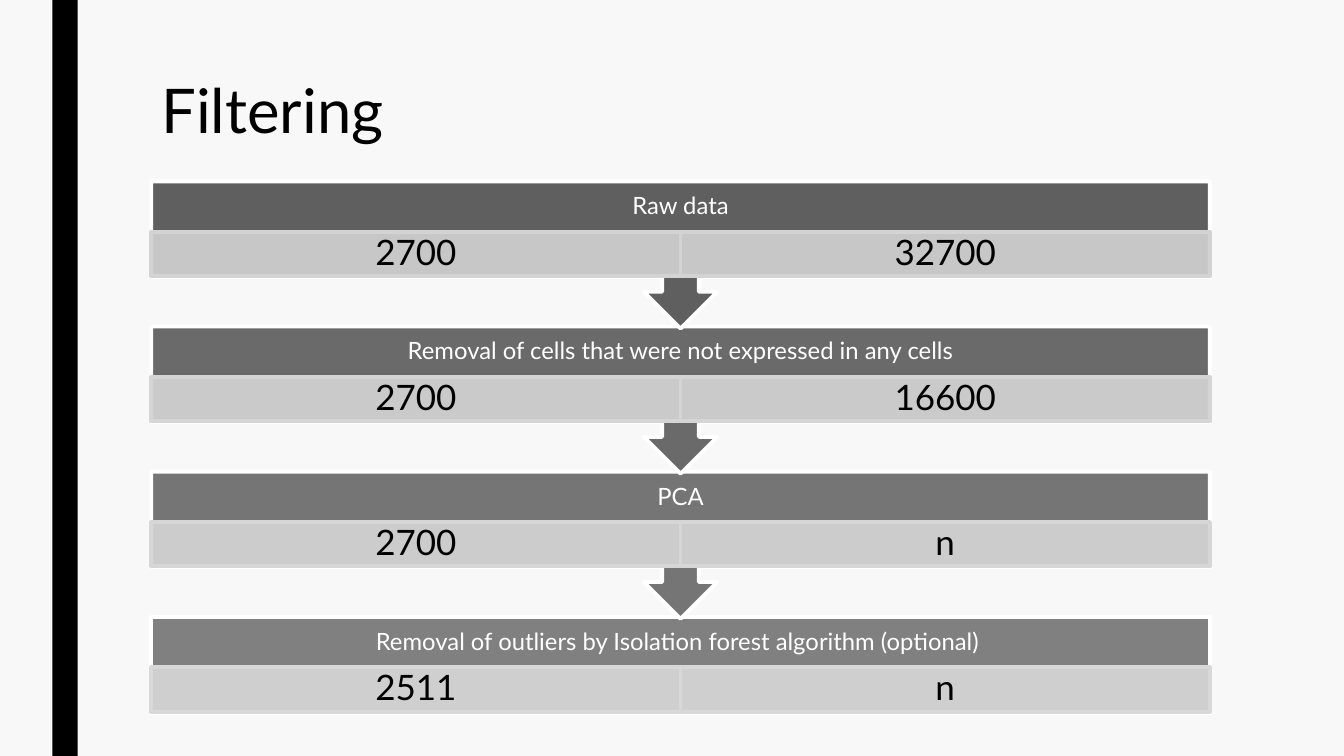
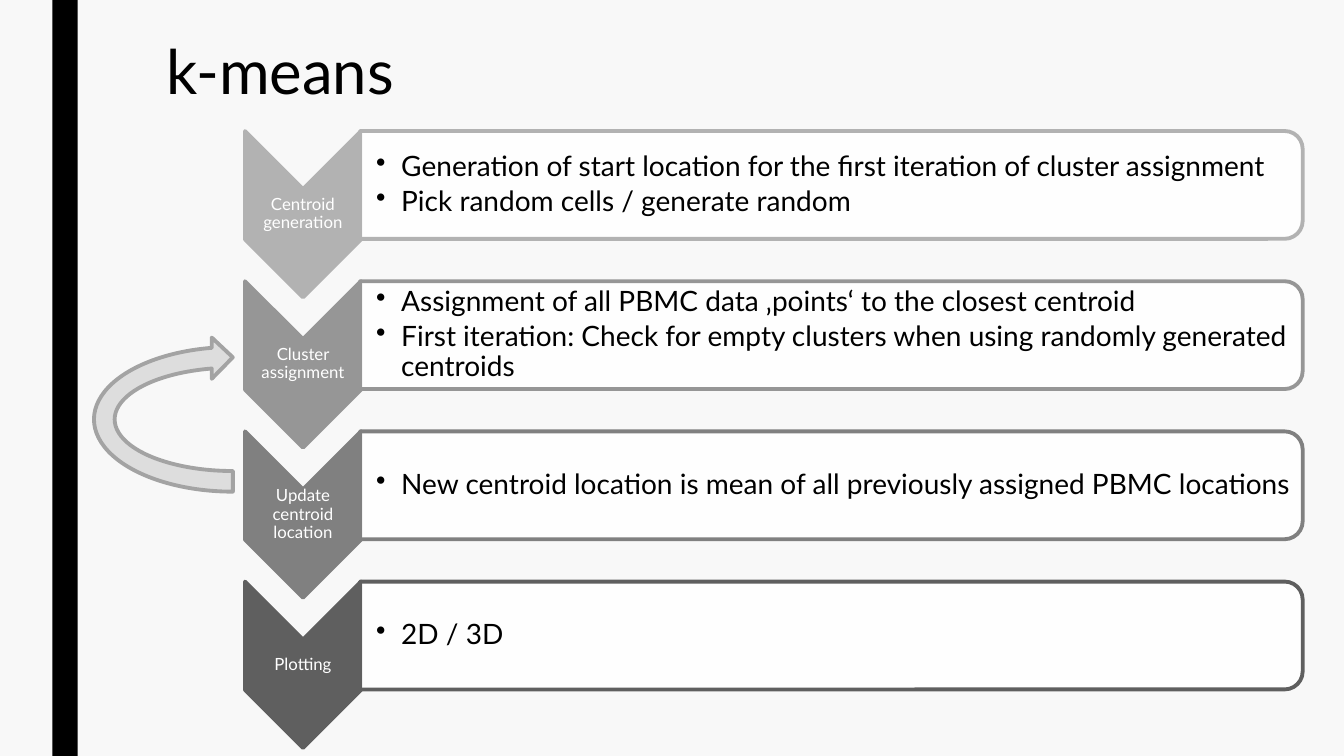
"""Builds two slides on cell data: the filtering steps and the k-means loop."""
import pptx
import pptx.util
import pptx.dml.color
import pptx.enum.shapes
import pptx.enum.text
import pptx.oxml
import pptx.oxml.ns

PX = 9144
FONT = "Lato"
SHAPE = pptx.enum.shapes.MSO_SHAPE
ALIGN = pptx.enum.text.PP_ALIGN
ANCHOR = pptx.enum.text.MSO_ANCHOR
RGB = pptx.dml.color.RGBColor

BLACK = RGB(0x00, 0x00, 0x00)
WHITE = RGB(0xFF, 0xFF, 0xFF)
PAPER = RGB(0xF8, 0xF8, 0xF8)
CHARCOAL = RGB(0x5F, 0x5F, 0x5F)
DARK = RGB(0x6A, 0x6A, 0x6A)
SLATE = RGB(0x75, 0x75, 0x75)
GRAY = RGB(0x80, 0x80, 0x80)
MIDDLE = RGB(0x96, 0x96, 0x96)
LIGHT = RGB(0xB2, 0xB2, 0xB2)
CELL_RAW = RGB(0xD3, 0xD3, 0xD3)
CELL_EXPRESSED = RGB(0xD5, 0xD5, 0xD5)
CELL_PCA = RGB(0xD6, 0xD6, 0xD6)
CELL_OUTLIERS = RGB(0xD8, 0xD8, 0xD8)
LOOP_FILL = RGB(0xDD, 0xDD, 0xDD)
LOOP_LINE = RGB(0xA3, 0xA3, 0xA3)


def add_box(page, kind, place, fill, line=None, alpha=100):
    box = page.shapes.add_shape(kind, *[length * PX for length in place])
    box.shadow.inherit = False
    box.fill.solid()
    box.fill.fore_color.rgb = fill
    if alpha < 100:
        for colour in box.element.spPr.iter(pptx.oxml.ns.qn("a:srgbClr")):
            colour.append(pptx.oxml.parse_xml(
                f'<a:alpha {pptx.oxml.ns.nsdecls("a")} val="{alpha * 1000}"/>'))
    if line is None:
        box.line.fill.background()
    else:
        box.line.color.rgb = line
        box.line.width = pptx.util.Pt(2.75)
    return box


def write(box, text, size, colour, align=ALIGN.CENTER, anchor=ANCHOR.MIDDLE,
          margins=(1, 1, 1, 1)):
    frame = box.text_frame
    frame.text = text
    frame.word_wrap = True
    frame.auto_size = pptx.enum.text.MSO_AUTO_SIZE.NONE
    frame.vertical_anchor = anchor
    (frame.margin_left, frame.margin_top,
     frame.margin_right, frame.margin_bottom) = [edge * PX for edge in margins]
    for para in frame.paragraphs:
        para.alignment = align
        para.line_spacing = 0.9
        for span in para.runs:
            span.font.name = FONT
            span.font.size = pptx.util.Pt(size)
            span.font.color.rgb = colour


deck = pptx.Presentation()
deck.slide_width = 1333 * PX
deck.slide_height = 750 * PX
master = deck.slide_master
master.background.fill.solid()
master.background.fill.fore_color.rgb = PAPER

pages = []
for heading, left, top in [("Filtering", 150, 75), ("k-means", 155, 36)]:
    page = deck.slides.add_slide(deck.slide_layouts[5])
    title = page.shapes.title
    title.left, title.top, title.width, title.height = [
        length * PX for length in (left, top, 1050, 162)]
    write(title, heading, 44, BLACK, ALIGN.LEFT, ANCHOR.TOP, (10, 5, 10, 5))
    pages.append(page)
filtering, kmeans = pages

band = add_box(filtering, SHAPE.RECTANGLE, (52, 0, 25, 750), BLACK)
band.element.nvSpPr.cNvPr.set("id", "20")
master.shapes.element.insert(2, band.element)

STEPS = [
    ("Raw data", CHARCOAL, CELL_RAW, ("2700", "32700")),
    ("Removal of cells that were not expressed in any cells", DARK,
     CELL_EXPRESSED, ("2700", "16600")),
    ("PCA", SLATE, CELL_PCA, ("2700", "n")),
    ("Removal of outliers by Isolation forest algorithm (optional) ", GRAY,
     CELL_OUTLIERS, ("2511", "n")),
]
for row, (label, fill, cell_fill, counts) in reversed(list(enumerate(STEPS))):
    top = 180 + row * 144
    last = row == len(STEPS) - 1
    kind = SHAPE.RECTANGLE if last else SHAPE.DOWN_ARROW_CALLOUT
    step = add_box(filtering, kind, (150, top, 1050, 95 if last else 146), fill, WHITE)
    write(step, label, 17, WHITE, margins=(13, 0, 13, 44))
    for column, count in enumerate(counts):
        cell = add_box(filtering, SHAPE.RECTANGLE,
                       (150 + column * 525, top + 50, 525, 44),
                       cell_fill, cell_fill, 90)
        write(cell, count, 25, BLACK, margins=(19, 3, 19, 3))

STAGES = [
    ("Centroid generation", LIGHT,
     "Generation of start location for the first iteration of cluster assignment\n"
     "Pick random cells / generate random"),
    ("Cluster assignment", MIDDLE,
     "Assignment of all PBMC data ‚points‘ to the closest centroid\n"
     "First iteration: Check for empty clusters when using randomly generated centroids"),
    ("Update centroid location", GRAY,
     "New centroid location is mean of all previously assigned PBMC locations"),
    ("Plotting", CHARCOAL, "2D / 3D"),
]
for row, (label, colour, points) in enumerate(STAGES):
    top = 130 + row * 149
    chevron = add_box(kmeans, SHAPE.CHEVRON, (218, top + 25, 165, 115), colour, colour)
    chevron.rotation = 90
    caption = kmeans.shapes.add_textbox(243 * PX, (top + 58) * PX, 115 * PX, 49 * PX)
    write(caption, label, 12, WHITE)
    panel = add_box(kmeans, SHAPE.ROUND_2_SAME_RECTANGLE,
                    (771, top - 414, 107, 935), WHITE, colour, 90)
    panel.rotation = 90
    listing = kmeans.shapes.add_textbox(357 * PX, (top + 5) * PX, 930 * PX, 97 * PX)
    write(listing, points, 20, BLACK, ALIGN.LEFT, margins=(16, 1, 1, 1))
    for para in listing.text_frame.paragraphs:
        para.space_after = pptx.util.Pt(3.5)
        properties = para._p.get_or_add_pPr()
        properties.set("marL", str(25 * PX))
        properties.set("indent", str(-25 * PX))
        properties.append(pptx.oxml.parse_xml(
            f'<a:buChar {pptx.oxml.ns.nsdecls("a")} char="•"/>'))

loop = add_box(kmeans, SHAPE.CIRCULAR_ARROW, (149, 268, 164, 296), LOOP_FILL, LOOP_LINE)
loop.rotation = 270

deck.save("out.pptx")
